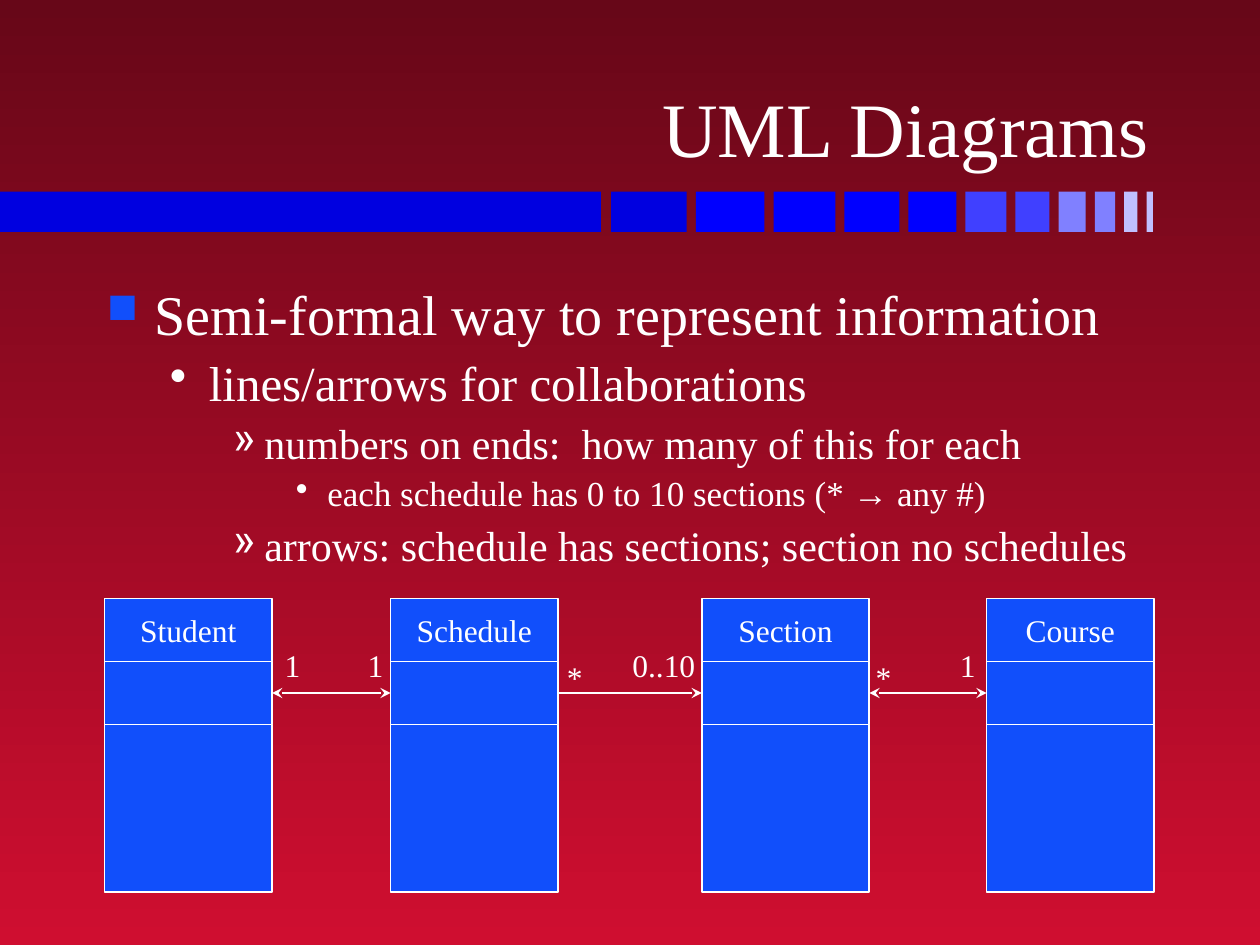
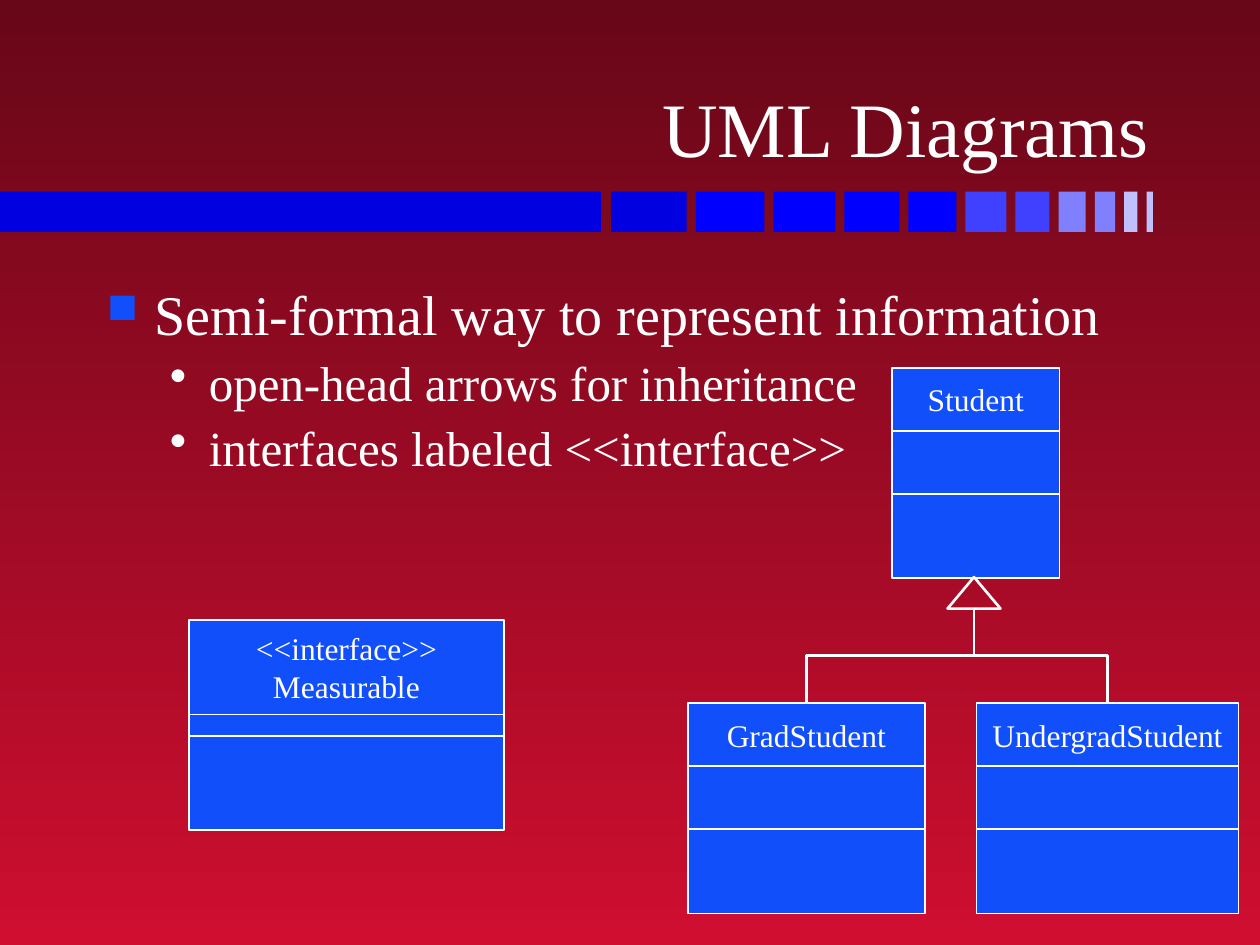
from lxml import etree
from pptx import Presentation
from pptx.dml.color import RGBColor
from pptx.enum.shapes import MSO_CONNECTOR, MSO_SHAPE
from pptx.enum.text import MSO_ANCHOR, PP_ALIGN
from pptx.oxml.ns import qn
from pptx.util import Inches, Pt

# Shared look
FONT, WHITE, BLUE = "Times New Roman", "FFFFFF", "114FFB"
SKY = ("670718", "CF0E30")
BAND = ["0000E0"] + ["0000FF"] * 4 + ["4040FF"] * 2 + ["8080FF"] * 2 + ["C0C0FF"] * 2
BAND_TOP, BAND_HIGH = 1.52, 0.32
BAR = 4.77
FIRST, LAST = 4.85, 9.1
WIDE, THIN = 0.6, 0.05

# Outline levels: indent, hang, space before, bullet, bullet colour, bullet %, size
LEVELS = [
    (0.38, 0.38, 8, "■", BLUE, 75, 32),
    (0.81, 0.31, 3.5, "•", WHITE, 100, 28),
    (1.25, 0.25, 3, "»", WHITE, 100, 24),
    (1.75, 0.25, 2.5, "•", WHITE, 100, 20),
]

# Slide content
TITLE = "UML Diagrams"
LEAD = (0, "Semi-formal way to represent information")
LINKS_TEXT = [
    LEAD,
    (1, "lines/arrows for collaborations"),
    (2, "numbers on ends:  how many of this for each"),
    (3, "each schedule has 0 to 10 sections (* → any #)"),
    (2, "arrows: schedule has sections; section no schedules"),
]
TREE_TEXT = [
    LEAD,
    (1, "open-head arrows for inheritance"),
    (1, "interfaces labeled <<interface>>"),
]

# Classes: name, left, top, width
TALL, SHORT, FACE = (0.5, 0.5, 1.33), (0.5, 0.5, 0.67), (0.75, 0.17, 0.75)
ROW = [("Student", 0.83), ("Schedule", 3.1), ("Section", 5.57), ("Course", 7.83)]
ROW_TOP, ROW_WIDE = 4.75, 1.33
TREE = [
    ("Student", 7.08, 2.92, 1.33),
    ("GradStudent", 5.46, 5.58, 1.88),
    ("UndergradStudent", 7.75, 5.58, 2.08),
]
LINKS = [("Student", "Schedule", True), ("Schedule", "Section", False),
         ("Section", "Course", True)]
COUNTS = [("1", 2.16, 0.32), ("1", 2.82, 0.32), ("*", 4.4, 0.32),
          ("0..10", 4.92, 0.7), ("*", 6.85, 0.32), ("1", 7.52, 0.32)]


def paint(hue):
    return RGBColor.from_string(hue)


def style(par, size, align=None):
    par.alignment = align
    for run in par.runs:
        run.font.size = Pt(size)
        run.font.name = "Arial" if run.text == "→" else FONT
        run.font.color.rgb = paint(WHITE)


def add_rect(slide, left, top, wide, high, fill, edge=None):
    rect = slide.shapes.add_shape(
        MSO_SHAPE.RECTANGLE, Inches(left), Inches(top), Inches(wide), Inches(high))
    rect.shadow.inherit = False
    rect.fill.solid()
    rect.fill.fore_color.rgb = paint(fill)
    if edge:
        rect.line.color.rgb = paint(edge)
        rect.line.width = Pt(1)
    else:
        rect.line.fill.background()
    return rect


def add_text(slide, left, top, wide, high, wrap=True):
    box = slide.shapes.add_textbox(
        Inches(left), Inches(top), Inches(wide), Inches(high))
    box.text_frame.word_wrap = wrap
    return box.text_frame


def add_band(slide):
    add_rect(slide, 0, BAND_TOP, BAR, BAND_HIGH, BAND[0])
    steps = len(BAND) - 1
    widths = [WIDE - i * (WIDE - THIN) / steps for i in range(steps + 1)]
    gap = (LAST - FIRST - sum(widths[:-1])) / steps
    left = FIRST
    for hue, wide in zip(BAND, widths):
        add_rect(slide, left, BAND_TOP, wide, BAND_HIGH, hue)
        left += wide + gap


def add_bullet(par, level):
    indent, hang, space, mark, hue, share, size = LEVELS[level]
    props = par._p.get_or_add_pPr()
    props.set("marL", str(Inches(indent)))
    props.set("indent", str(-Inches(hang)))
    color = etree.SubElement(props, qn("a:buClr"))
    etree.SubElement(color, qn("a:srgbClr"), val=hue)
    etree.SubElement(props, qn("a:buSzPct"), val=str(share * 1000))
    etree.SubElement(props, qn("a:buChar"), char=mark)


def add_list(slide, lines):
    frame = add_text(slide, 0.75, 2.17, 8.5, 4.5)
    for i, (level, text) in enumerate(lines):
        par = frame.add_paragraph() if i else frame.paragraphs[0]
        add_bullet(par, level)
        if i:
            par.space_before = Pt(LEVELS[level][2])
        # The arrow sign is a run of its own
        head, sign, tail = text.partition("→")
        for part in filter(None, (head, sign, tail)):
            par.add_run().text = part
        style(par, LEVELS[level][-1])


def add_slide(deck, lines):
    slide = deck.slides.add_slide(deck.slide_layouts[6])
    fill = slide.background.fill
    fill.gradient()
    fill.gradient_angle = 270
    for stop, hue in zip(fill.gradient_stops, SKY):
        stop.color.rgb = paint(hue)
    add_band(slide)
    frame = add_text(slide, 0.74, 0.19, 8.48, 1.23)
    frame.vertical_anchor = MSO_ANCHOR.BOTTOM
    frame.text = TITLE
    style(frame.paragraphs[0], 44, PP_ALIGN.RIGHT)
    add_list(slide, lines)
    return slide


def add_class(slide, name, left, top, wide, heights):
    parts = []
    for high in heights:
        parts.append(add_rect(slide, left, top, wide, high, BLUE, WHITE))
        top += high
    frame = parts[0].text_frame
    frame.vertical_anchor = MSO_ANCHOR.MIDDLE
    frame.word_wrap = False
    frame.text = name
    for par in frame.paragraphs:
        style(par, 18, PP_ALIGN.CENTER)
    return parts


def add_line(slide, kind, start, end, weight):
    line = slide.shapes.add_connector(kind, *map(Inches, start + end))
    line.line.color.rgb = paint(WHITE)
    line.line.width = Pt(weight)
    etree.SubElement(line.element.spPr, qn("a:effectLst"))
    return line


def add_link(slide, source, target, both):
    line = add_line(slide, MSO_CONNECTOR.STRAIGHT, (0, 0), (1, 1), 1)
    line.begin_connect(source, 3)
    line.end_connect(target, 1)
    stroke = line.line._get_or_add_ln()
    for end in ("headEnd", "tailEnd") if both else ("tailEnd",):
        etree.SubElement(stroke, qn("a:" + end), type="stealth", w="med", len="med")


def add_elbow(slide, start, end):
    """Draw an elbow that leaves and arrives vertically."""
    (x1, y1), (x2, y2) = start, end
    drop, span = y2 - y1, abs(x2 - x1)
    line = add_line(slide, MSO_CONNECTOR.ELBOW, (0, 0), (1, 1), 1.5)
    line.left = Inches((x1 + x2 - drop) / 2)
    line.top = Inches((y1 + y2 - span) / 2)
    line.width, line.height = Inches(drop), Inches(span)
    frame = line.element.spPr.find(qn("a:xfrm"))
    frame.set("rot", str((90 if x2 < x1 else 270) * 60000))
    if x2 > x1:
        frame.set("flipH", "1")


def draw_links(deck):
    slide = add_slide(deck, LINKS_TEXT)
    mids = {}
    for name, left in ROW:
        mids[name] = add_class(slide, name, left, ROW_TOP, ROW_WIDE, TALL)[1]
    for source, target, both in LINKS:
        add_link(slide, mids[source], mids[target], both)
    for text, left, wide in COUNTS:
        top = 5.17 if text == "*" else 5.08
        frame = add_text(slide, left, top, wide, 0.4, False)
        frame.text = text
        style(frame.paragraphs[0], 18)


def draw_tree(deck):
    slide = add_slide(deck, TREE_TEXT)
    for name, left, top, wide in TREE:
        add_class(slide, name, left, top, wide, SHORT)
    # Open arrowhead and branches to the subclasses
    head = slide.shapes.add_shape(
        MSO_SHAPE.ISOSCELES_TRIANGLE, Inches(7.52), Inches(4.58), Inches(0.42), Inches(0.25))
    head.shadow.inherit = False
    head.fill.background()
    head.line.color.rgb = paint(WHITE)
    head.line.width = Pt(1.5)
    for name, left, top, wide in TREE[1:]:
        add_elbow(slide, (7.73, 4.83), (left + wide / 2, top))
    add_class(slide, "<<interface>>\nMeasurable", 1.5, 4.92, 2.5, FACE)


def main():
    deck = Presentation()
    deck.slide_width, deck.slide_height = Inches(10), Inches(7.5)
    draw_links(deck)
    draw_tree(deck)
    deck.save("out.pptx")


if __name__ == "__main__":
    main()
